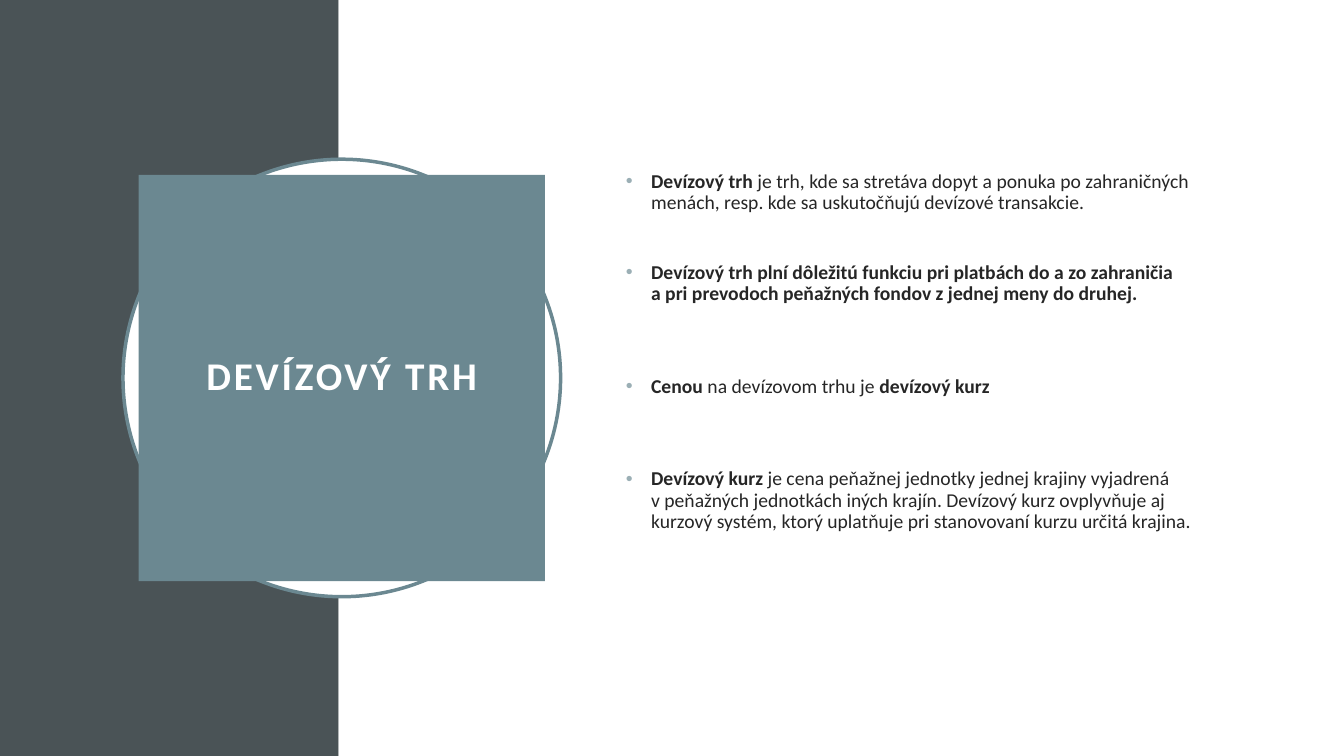
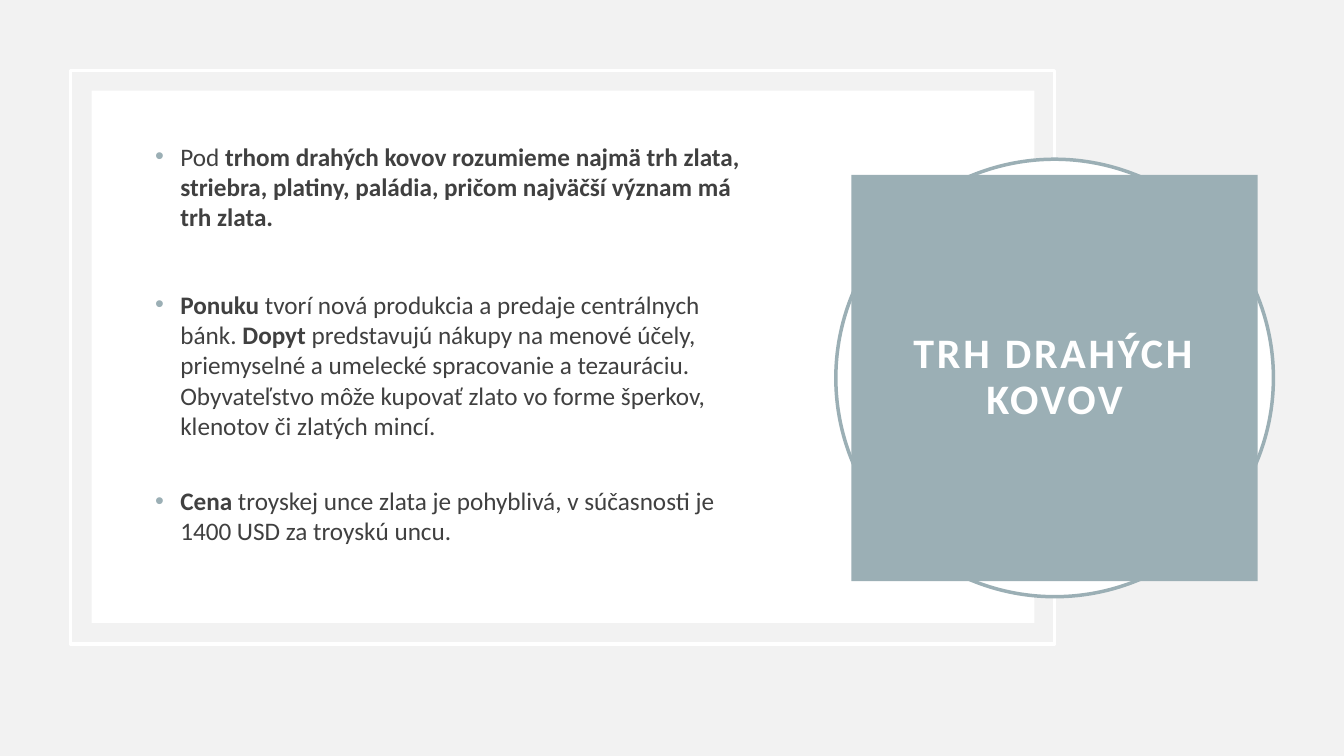
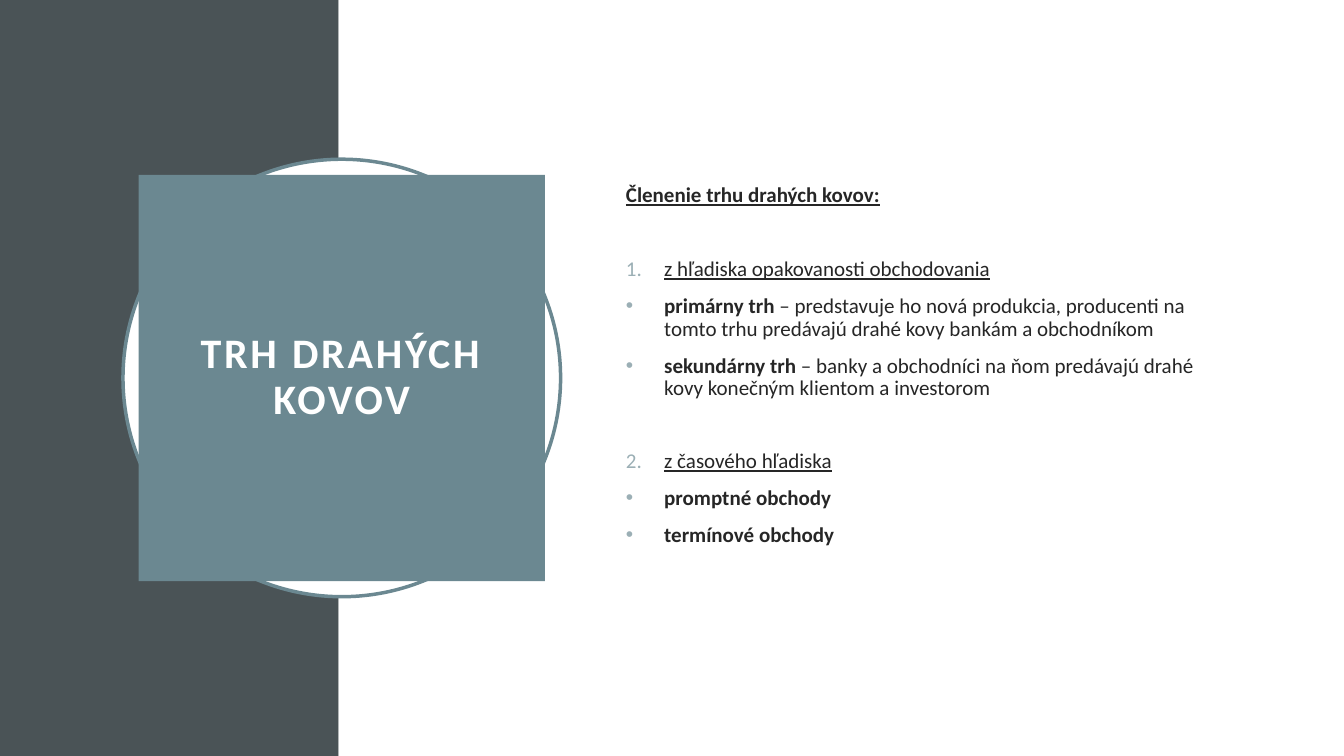
from dataclasses import dataclass

from lxml.etree import SubElement
from pptx import Presentation
from pptx.dml.color import RGBColor
from pptx.enum.shapes import MSO_SHAPE
from pptx.enum.text import MSO_ANCHOR, PP_ALIGN
from pptx.oxml.ns import qn
from pptx.util import Inches, Pt


@dataclass(frozen=True)
class Theme:
    font: str = "Calibri"
    white: str = "FFFFFF"
    mist: str = "F2F2F2"
    slate: str = "4A5356"
    teal: str = "6B8891"
    pale_teal: str = "9BAFB5"
    ink: str = "262626"
    soft_ink: str = "404040"
    outline: float = 2.5
    title_tracking: int = 200


THEME = Theme()
WIDTH, HEIGHT = 13.33, 7.5
BADGE, RING = 4.03, 4.34
PANEL_WIDTH = 3.36
BADGE_CENTRE_LEFT, BADGE_CENTRE_RIGHT = 3.39, 10.46
FRAME = (0.7, 0.7, 9.76, 5.69)
CARD = (0.91, 0.9, 9.35, 5.28)
NO_BREAK_SPACE = chr(160)
ONE_LETTER_WORDS = "avz"

# A paragraph is (marker, space before in points, runs); a run is (text, style),
# where the style holds "b" for bold and "u" for underlined.
# A marker is "•", a list number, or None.
SLIDES = [
    {
        "title": "DEVÍZOVÝ TRH", "title_size": 28, "layout": "panel",
        "body": (6.11, 1.65, 5.83, 4.2), "size": 14, "indent": 0.25,
        "paragraphs": [
            ("•", 0, [("Devízový trh", "b"),
                      (" je trh, kde sa stretáva dopyt a ponuka po zahraničných menách, "
                       "resp. kde sa uskutočňujú devízové transakcie.", "")]),
            ("•", 35, [("Devízový trh plní dôležitú funkciu pri platbách do a zo zahraničia "
                        "a pri prevodoch peňažných fondov z jednej meny do druhej.", "b")]),
            ("•", 51, [("Cenou", "b"), (" na devízovom trhu je ", ""),
                       ("devízový kurz", "b")]),
            ("•", 51, [("Devízový kurz", "b"),
                       (" je cena peňažnej jednotky jednej krajiny vyjadrená "
                        "v peňažných jednotkách iných krajín. Devízový kurz ovplyvňuje aj "
                        "kurzový systém, ktorý uplatňuje pri stanovovaní kurzu "
                        "určitá krajina.", "")]),
        ],
    },
    {
        "title": "TRH DRAHÝCH KOVOV", "title_size": 30, "layout": "card",
        "body": (1.44, 1.35, 6.1, 4.28), "size": 18, "indent": 0.25,
        "paragraphs": [
            ("•", 0, [("Pod ", ""),
                      ("trhom drahých kovov rozumieme najmä trh zlata, striebra, platiny, "
                       "paládia, pričom najväčší význam má trh zlata.", "b")]),
            ("•", 41, [("Ponuku", "b"),
                       (" tvorí nová produkcia a predaje centrálnych bánk. ", ""),
                       ("Dopyt", "b"),
                       (" predstavujú nákupy na menové účely, priemyselné a umelecké "
                        "spracovanie a tezauráciu. Obyvateľstvo môže kupovať zlato vo forme "
                        "šperkov, klenotov či zlatých mincí.", "")]),
            ("•", 32, [("Cena", "b"),
                       (" troyskej unce zlata je pohyblivá, v súčasnosti je 1400 USD "
                        "za troyskú uncu.", "")]),
        ],
    },
    {
        "title": "TRH DRAHÝCH KOVOV", "title_size": 30, "layout": "panel",
        "body": (6.11, 1.78, 5.83, 4.0), "size": 15, "indent": 0.38,
        "paragraphs": [
            (None, 0, [("Členenie trhu drahých kovov:", "bu")]),
            (1, 37, [("z hľadiska opakovanosti obchodovania", "u")]),
            ("•", 10, [("primárny trh", "b"),
                       (" – predstavuje ho nová produkcia, producenti na tomto trhu "
                        "predávajú drahé kovy bankám a obchodníkom", "")]),
            ("•", 10, [("sekundárny trh", "b"),
                       (" – banky a obchodníci na ňom predávajú drahé kovy konečným "
                        "klientom a investorom", "")]),
            (2, 36, [("z časového hľadiska", "u")]),
            ("•", 10, [("promptné obchody", "b")]),
            ("•", 10, [("termínové obchody", "b")]),
        ],
    },
]
LAYOUTS = {
    "panel": {"background": THEME.white, "accent": THEME.teal, "ink": THEME.ink,
              "centre": BADGE_CENTRE_LEFT, "line_spacing": 0.9},
    "card": {"background": THEME.mist, "accent": THEME.pale_teal, "ink": THEME.soft_ink,
             "centre": BADGE_CENTRE_RIGHT, "line_spacing": 1.0},
}


def bind_short_words(text):
    """Keep one-letter words on the same line as the word after them."""
    for letter in ONE_LETTER_WORDS:
        text = text.replace(f" {letter} ", f" {letter}{NO_BREAK_SPACE}")
    return text


def add_block(slide, kind, box, fill=None, line=None):
    shape = slide.shapes.add_shape(kind, *map(Inches, box))
    shape.shadow.inherit = False
    if fill:
        shape.fill.solid()
        shape.fill.fore_color.rgb = RGBColor.from_string(fill)
    else:
        shape.fill.background()
    if line:
        shape.line.color.rgb = RGBColor.from_string(line)
        shape.line.width = Pt(THEME.outline)
    else:
        shape.line.fill.background()
    return shape


def add_run(paragraph, text, size, colour, style=""):
    run = paragraph.add_run()
    run.text = bind_short_words(text)
    run.font.name = THEME.font
    run.font.size = Pt(size)
    run.font.color.rgb = RGBColor.from_string(colour)
    run.font.bold = "b" in style
    run.font.underline = "u" in style
    return run


def set_marker(paragraph, marker, indent):
    """Give the paragraph a hanging bullet or list number."""
    properties = paragraph._p.get_or_add_pPr()
    properties.set("marL", str(Inches(indent)))
    properties.set("indent", str(-Inches(indent)))
    colour = SubElement(properties, qn("a:buClr"))
    SubElement(colour, qn("a:srgbClr"), val=THEME.pale_teal)
    if isinstance(marker, int):
        SubElement(properties, qn("a:buFont"), typeface=THEME.font)
        SubElement(properties, qn("a:buAutoNum"), type="arabicPeriod", startAt=str(marker))
    else:
        SubElement(properties, qn("a:buFont"), typeface="Arial")
        SubElement(properties, qn("a:buChar"), char=marker)


def centred_square(centre, side):
    return centre - side / 2, (HEIGHT - side) / 2, side, side


def add_badge(slide, title, size, centre, accent):
    """Draw the title square in front of its ring."""
    add_block(slide, MSO_SHAPE.OVAL, centred_square(centre, RING), THEME.white, accent)
    badge = add_block(slide, MSO_SHAPE.RECTANGLE, centred_square(centre, BADGE), accent)
    frame = badge.text_frame
    frame.word_wrap = True
    frame.vertical_anchor = MSO_ANCHOR.MIDDLE
    frame.margin_left = frame.margin_right = Inches(0.2)
    frame.margin_top = frame.margin_bottom = Inches(0.2)
    paragraph = frame.paragraphs[0]
    paragraph.alignment = PP_ALIGN.CENTER
    paragraph.line_spacing = 0.9
    run = add_run(paragraph, title, size, THEME.white, "b")
    run.font._element.set("spc", str(THEME.title_tracking))


def add_body(slide, content, layout):
    frame = slide.shapes.add_textbox(*map(Inches, content["body"])).text_frame
    frame.word_wrap = True
    for index, (marker, space_before, runs) in enumerate(content["paragraphs"]):
        paragraph = frame.add_paragraph() if index else frame.paragraphs[0]
        paragraph.line_spacing = layout["line_spacing"]
        paragraph.space_before = Pt(space_before)
        if marker:
            set_marker(paragraph, marker, content["indent"])
        for text, style in runs:
            add_run(paragraph, text, content["size"], layout["ink"], style)


def build_slide(presentation, content):
    slide = presentation.slides.add_slide(presentation.slide_layouts[6])
    layout = LAYOUTS[content["layout"]]
    slide.background.fill.solid()
    slide.background.fill.fore_color.rgb = RGBColor.from_string(layout["background"])
    if content["layout"] == "panel":
        add_block(slide, MSO_SHAPE.RECTANGLE, (0, 0, PANEL_WIDTH, HEIGHT), THEME.slate)
        add_block(slide, MSO_SHAPE.RECTANGLE,
                  (PANEL_WIDTH, 0, WIDTH - PANEL_WIDTH, HEIGHT), THEME.white)
    else:
        add_block(slide, MSO_SHAPE.RECTANGLE, FRAME, line=THEME.white)
        add_block(slide, MSO_SHAPE.RECTANGLE, CARD, THEME.white)
    add_badge(slide, content["title"], content["title_size"], layout["centre"], layout["accent"])
    add_body(slide, content, layout)


def main():
    presentation = Presentation()
    presentation.slide_width, presentation.slide_height = Inches(WIDTH), Inches(HEIGHT)
    for content in SLIDES:
        build_slide(presentation, content)
    presentation.save("out.pptx")


if __name__ == "__main__":
    main()
